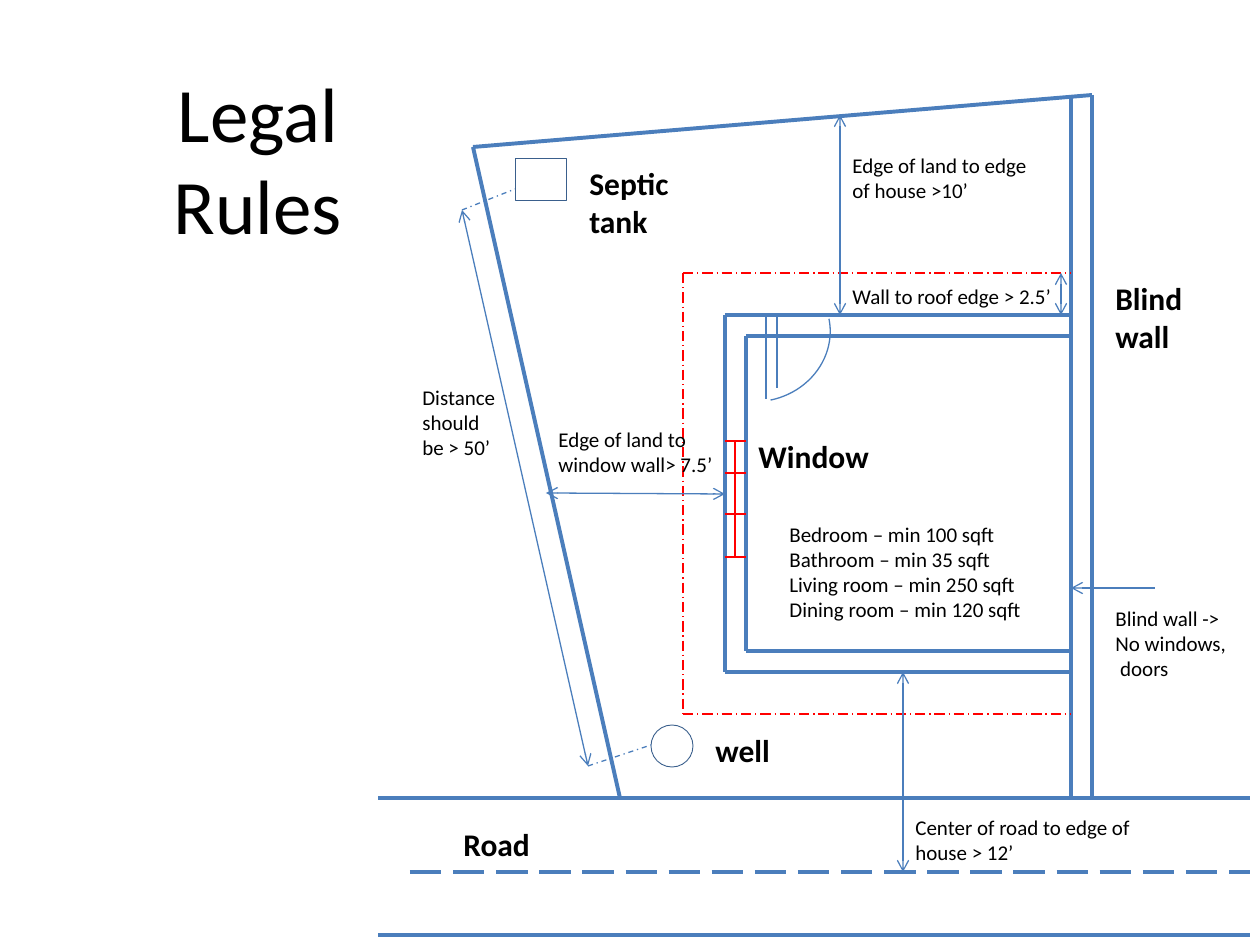
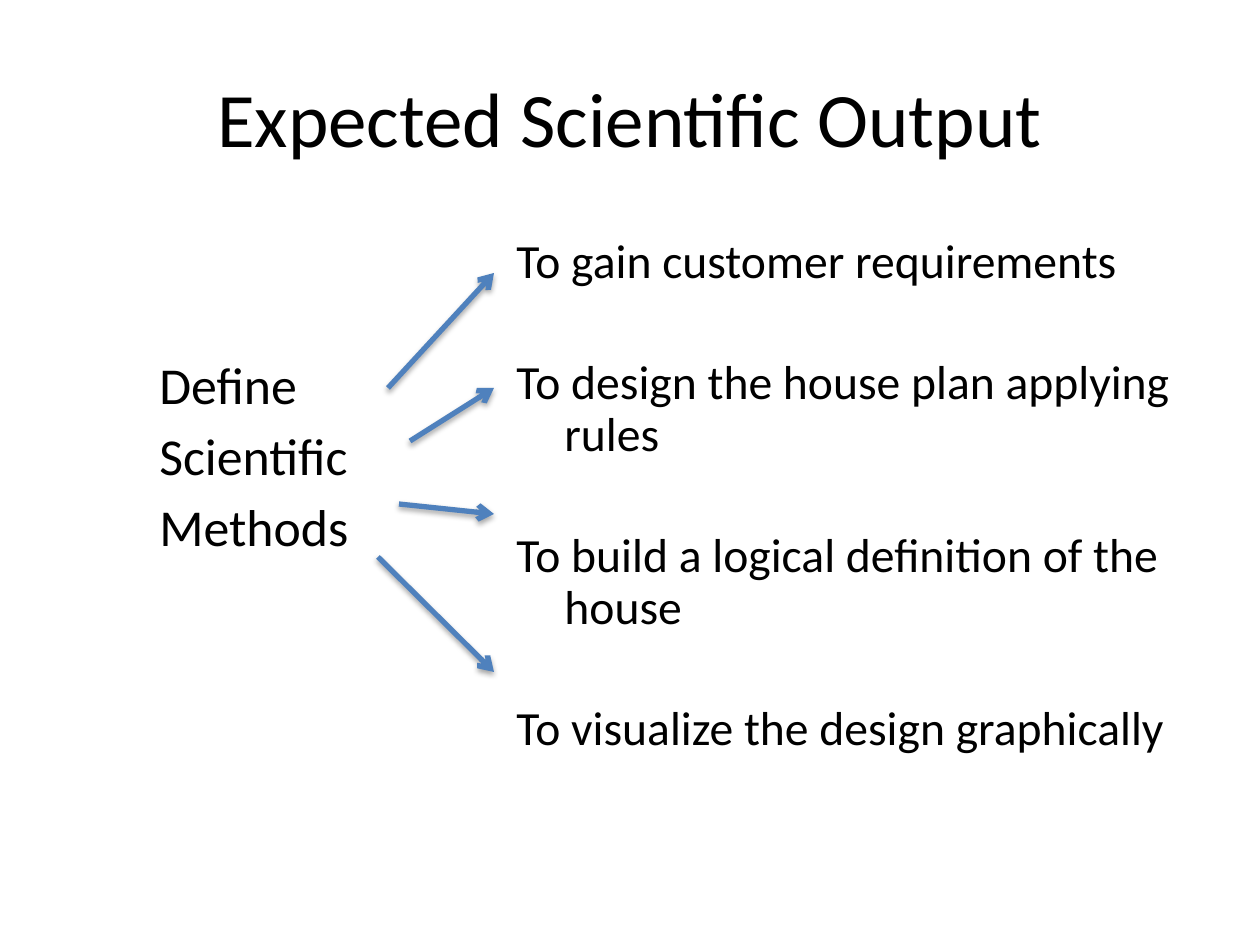
from lxml import etree
from pptx import Presentation
from pptx.dml.color import RGBColor
from pptx.enum.dml import MSO_LINE
from pptx.enum.shapes import MSO_CONNECTOR, MSO_SHAPE
from pptx.enum.text import MSO_ANCHOR, PP_ALIGN
from pptx.oxml import parse_xml
from pptx.oxml.ns import nsdecls, qn
from pptx.util import Pt

SCALE = 914400 / 126  # EMU per pixel
FONT = "Calibri"
BLACK = RGBColor(0x00, 0x00, 0x00)
PLAN_BLUE = RGBColor(0x4B, 0x7E, 0xBC)
OUTLINE_BLUE = RGBColor(0x3A, 0x5F, 0x8C)
ARROW_BLUE = RGBColor(0x4F, 0x81, 0xBD)
RED = RGBColor(0xFF, 0x00, 0x00)
WALL, THIN = 2.25, 0.75  # line widths in points
LONG_DASH, DASH_DOT = MSO_LINE.LONG_DASH, MSO_LINE.DASH_DOT
LONG_DASH_DOT = MSO_LINE.LONG_DASH_DOT
LEFT, CENTER = PP_ALIGN.LEFT, PP_ALIGN.CENTER
TOP, MIDDLE = MSO_ANCHOR.TOP, MSO_ANCHOR.MIDDLE
SHADOW = (
    '<a:outerShdw blurRad="40000" dist="23000" dir="5400000" rotWithShape="0">'
    '<a:srgbClr val="000000"><a:alpha val="35000"/></a:srgbClr></a:outerShdw>'
)
TITLE = dict(size=44, align=CENTER, anchor=MIDDLE)

prs = Presentation()
prs.slide_width, prs.slide_height = round(1260 * SCALE), round(945 * SCALE)
blank = prs.slide_layouts[6]


def write(slide, box, text, size=12, bold=False, align=LEFT, anchor=TOP,
          hanging=0, gap=0, spacing=None):
    """Text box; a newline starts a paragraph, gap is the space between them."""
    frame = slide.shapes.add_textbox(*(round(n * SCALE) for n in box)).text_frame
    frame.word_wrap = True
    frame.vertical_anchor = anchor
    frame.text = text
    for index, paragraph in enumerate(frame.paragraphs):
        paragraph.alignment = align
        paragraph.line_spacing = spacing
        if index:
            paragraph.space_before = Pt(gap)
        if hanging:
            properties = paragraph._p.get_or_add_pPr()
            properties.set("marL", str(round(hanging * SCALE)))
            properties.set("indent", str(round(-hanging * SCALE)))
        for run in paragraph.runs:
            run.font.name = FONT
            run.font.size = Pt(size)
            run.font.bold = bold
            run.font.color.rgb = BLACK


def draw_line(slide, ends, color=PLAN_BLUE, width=WALL, dash=None,
              arrows=(), effect=""):
    """Line from x1, y1 to x2, y2; arrows lists headEnd and/or tailEnd."""
    line = slide.shapes.add_connector(
        MSO_CONNECTOR.STRAIGHT, *(round(n * SCALE) for n in ends))
    line.line.color.rgb = color
    line.line.width = Pt(width)
    if dash:
        line.line.dash_style = dash
    properties = line._element.spPr
    for end in arrows:
        etree.SubElement(properties.find(qn("a:ln")), qn("a:" + end), type="arrow")
    properties.append(parse_xml(
        f'<a:effectLst {nsdecls("a")}>{effect}</a:effectLst>'))


# ---- Slide 1: site plan with the legal distances ----
plan = prs.slides.add_slide(blank)

# Plan coordinates
blind_in, blind_out = 1071, 1092
outer_left, outer_top, outer_bottom = 725, 315, 672
inner_left, inner_top, inner_bottom = 746, 336, 651
roof_left, roof_top, roof_bottom = 683, 273, 714
road_left, road_right, road_top, road_center, road_bottom = 378, 1250, 798, 872, 935
land_corner = (473, 147)

# House walls, outside and inside faces
for left, top, bottom in ((outer_left, outer_top, outer_bottom),
                          (inner_left, inner_top, inner_bottom)):
    draw_line(plan, (left, top, blind_in, top))
    draw_line(plan, (left, top, left, bottom))
    draw_line(plan, (left, bottom, blind_in, bottom))

# Blind wall, land edges and road
for x in (blind_in, blind_out):
    draw_line(plan, (x, 95, x, road_top))
draw_line(plan, (620, road_top, *land_corner))
draw_line(plan, (*land_corner, blind_out, 95))
for y in (road_top, road_bottom):
    draw_line(plan, (road_left, y, road_right, y))
draw_line(plan, (410, road_center, road_right, road_center), dash=LONG_DASH)

# Window
for y in (441, 473, 514, 557):
    draw_line(plan, (outer_left, y, inner_left, y), RED, THIN)
draw_line(plan, (735, 441, 735, 557), RED, THIN)

# Roof edge
for ends in ((roof_left, roof_top, blind_in, roof_top),
             (roof_left, roof_bottom, blind_in, roof_bottom),
             (roof_left, roof_top, roof_left, roof_bottom)):
    draw_line(plan, ends, RED, THIN, LONG_DASH_DOT)

# Door leaf
for x, bottom in ((766, 399), (777, 388)):
    draw_line(plan, (x, outer_top, x, bottom), width=THIN)

# Door swing, well and septic tank
for kind, box, color, width, turn in (
        (MSO_SHAPE.ARC, (689, 260, 136, 147), PLAN_BLUE, THIN, 78.5),
        (MSO_SHAPE.OVAL, (651, 725, 42, 42), OUTLINE_BLUE, 0.5, 0),
        (MSO_SHAPE.RECTANGLE, (515, 158, 52, 42), OUTLINE_BLUE, 0.5, 0)):
    fixture = plan.shapes.add_shape(kind, *(round(n * SCALE) for n in box))
    fixture.fill.background()
    fixture.line.color.rgb = color
    fixture.line.width = Pt(width)
    fixture.rotation = turn
    fixture.shadow.inherit = False

# Distances
for ends in ((903, outer_bottom, 903, road_center),
             (outer_left, 494, 546, 493),
             (840, 115, 840, outer_top),
             (462, 210, 588, 766),
             (1061, outer_top, 1061, roof_top)):
    draw_line(plan, ends, width=THIN, arrows=("headEnd", "tailEnd"))
draw_line(plan, (1155, 588, blind_in, 588), width=THIN, arrows=("tailEnd",))
for ends in ((462, 210, 515, 189), (588, 766, 651, 745)):
    draw_line(plan, ends, width=THIN, dash=DASH_DOT)

# Rules
for box, rule in (
        ((840, 146, 210, 63), "Edge of land to edge of house >10’"),
        ((546, 420, 189, 63), "Edge of land to window wall> 7.5’"),
        ((410, 378, 116, 90), "Distance\nshould\nbe > 50’"),
        ((903, 808, 273, 63), "Center of road to edge of house > 12’"),
        ((777, 515, 273, 115), "Bedroom – min 100 sqft\nBathroom – min 35 sqft\n"
                               "Living room – min 250 sqft\nDining room – min 120 sqft"),
        ((840, 277, 231, 38), "Wall to roof edge > 2.5’"),
        ((1103, 599, 157, 115), "Blind wall ->\nNo windows,\n doors")):
    write(plan, box, rule)

# Title and names of the parts
write(plan, (116, 32, 284, 252), "Legal\vRules", **TITLE)
for box, name in (((451, 819, 116, 50), "Road"),
                  ((703, 725, 116, 50), "well"),
                  ((577, 158, 116, 90), "Septic tank"),
                  ((746, 431, 168, 50), "Window"),
                  ((1103, 273, 116, 90), "Blind wall")):
    write(plan, box, name, size=18, bold=True)

# ---- Slide 2: methods leading to four outputs ----
output = prs.slides.add_slide(blank)
write(output, (63, 38, 1134, 158), "Expected Scientific Output", **TITLE)
write(output, (147, 347, 242, 221), "Define\nScientific\nMethods",
      size=29.6, hanging=48, gap=5)
write(output, (504, 231, 735, 588),
      "To gain customer requirements\n"
      "To design the house plan applying rules\n"
      "To build a logical definition of the house\n"
      "To visualize the design graphically",
      size=27.2, hanging=48, gap=40, spacing=0.9)

# Arrows to the outputs
for x, y, target in ((388, 388, 273), (410, 441, 388), (399, 504, 514), (378, 557, 672)):
    draw_line(output, (x, y, 494, target), ARROW_BLUE, 3,
              arrows=("tailEnd",), effect=SHADOW)

prs.save("out.pptx")
